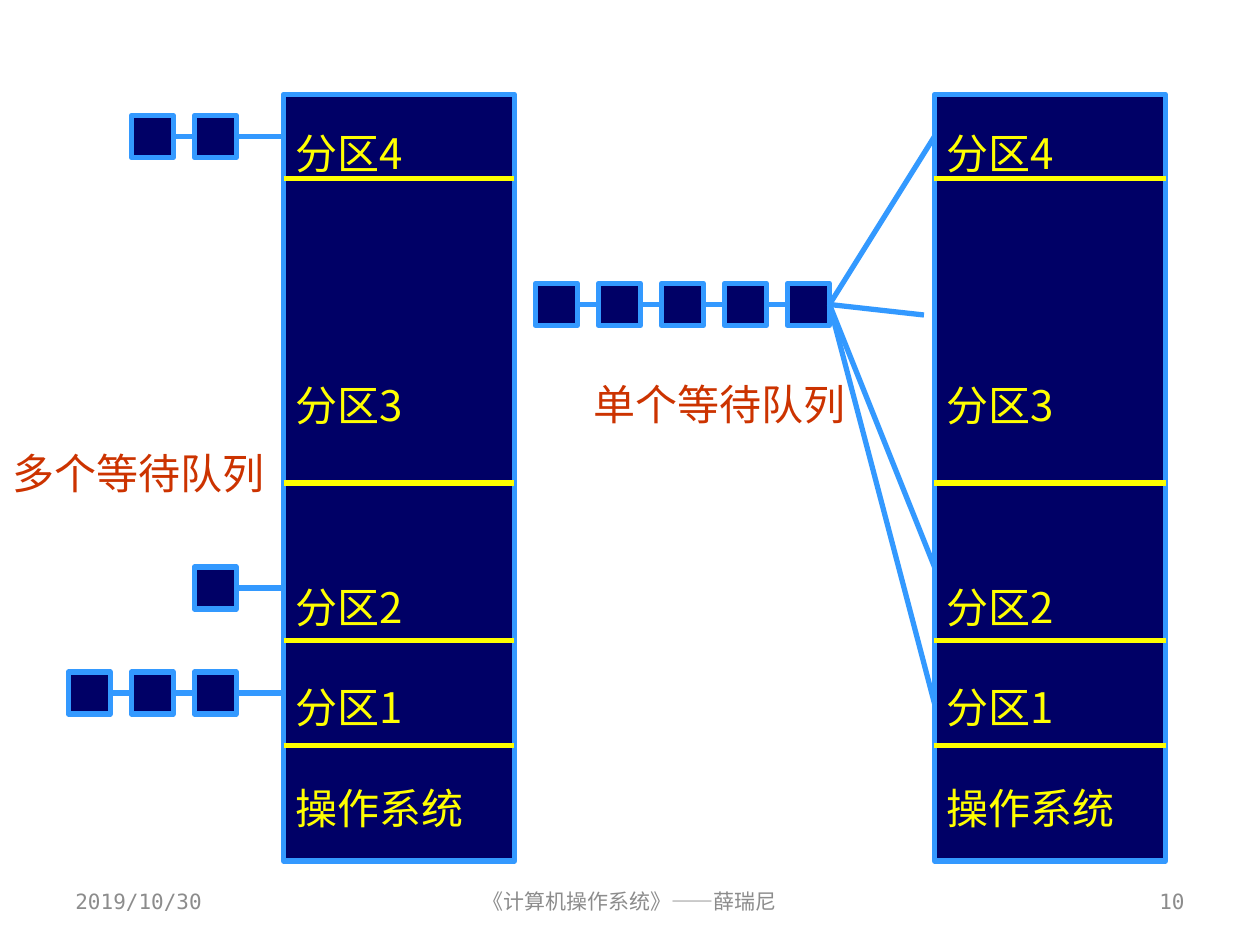
from itertools import pairwise

from lxml.etree import SubElement
from pptx import Presentation
from pptx.dml.color import RGBColor
from pptx.enum.shapes import MSO_CONNECTOR as Connector, MSO_SHAPE as Shape
from pptx.enum.text import MSO_ANCHOR as Anchor, PP_ALIGN as Align
from pptx.oxml.ns import qn
from pptx.util import Pt

COLORS = {"navy": "000066", "blue": "3399FF", "yellow": "FFFF00",
          "red": "CC3300", "gray": "8C8C8C"}
CJK_FONT = "Noto Sans CJK SC"
FOOTER_FONT = "DejaVu Sans Mono"

# Memory columns
COLUMN_TOP, COLUMN_WIDTH, COLUMN_HEIGHT = 54, 132, 438
LEFT_COLUMN, RIGHT_COLUMN = 162, 534
DIVIDERS = (102, 276, 366, 426)
LINE_HEIGHT = 28.8
# Label and the number of free lines above it
PARTITIONS = (("分区4", 0), ("分区3", 4), ("分区2", 3), ("分区1", 1), ("操作系统", 1))

# Waiting queues
JOB_SIZE, JOB_PITCH = 24, 36


def color(name):
    return RGBColor.from_string(COLORS[name])


def write(paragraph, text, size=24, fill="yellow", font=CJK_FONT, align=Align.LEFT):
    paragraph.alignment = align
    run = paragraph.add_run()
    run.text = text
    run.font.size = Pt(size)
    run.font.name = font
    run.font.color.rgb = color(fill)
    SubElement(run.font._element, qn("a:ea"), typeface=CJK_FONT)


def add_text(slide, text, left, top, width, height, wrap=False,
             anchor=Anchor.TOP, **text_format):
    box = slide.shapes.add_textbox(Pt(left), Pt(top), Pt(width), Pt(height))
    box.text_frame.word_wrap = wrap
    box.text_frame.vertical_anchor = anchor
    write(box.text_frame.paragraphs[0], text, **text_format)


def add_block(slide, left, top, width, height):
    block = slide.shapes.add_shape(Shape.RECTANGLE, Pt(left), Pt(top),
                                   Pt(width), Pt(height))
    block.shadow.inherit = False
    block.fill.solid()
    block.fill.fore_color.rgb = color("navy")
    block.line.color.rgb = color("blue")
    block.line.width = Pt(3)
    return block


def add_line(slide, start, end, stroke="blue"):
    line = slide.shapes.add_connector(Connector.STRAIGHT, Pt(start[0]), Pt(start[1]),
                                      Pt(end[0]), Pt(end[1]))
    line.line.color.rgb = color(stroke)
    line.line.width = Pt(3)
    SubElement(line._element.spPr, qn("a:effectLst"))
    return line


def add_column(slide, left):
    column = add_block(slide, left, COLUMN_TOP, COLUMN_WIDTH, COLUMN_HEIGHT)
    frame = column.text_frame
    frame.word_wrap = True
    frame.vertical_anchor = Anchor.MIDDLE
    frame.margin_top = Pt(6.4)
    for index, (label, free_lines) in enumerate(PARTITIONS):
        paragraph = frame.add_paragraph() if index else frame.paragraphs[0]
        paragraph.line_spacing = Pt(LINE_HEIGHT)
        paragraph.space_before = Pt(free_lines * LINE_HEIGHT)
        write(paragraph, label)
    for y in DIVIDERS:
        add_line(slide, (left, y), (left + COLUMN_WIDTH, y), "yellow")


def add_queue(slide, count, last_left, top):
    """Draw a chain of waiting jobs and return the one at its head."""
    first_left = last_left - (count - 1) * JOB_PITCH
    jobs = [add_block(slide, first_left + i * JOB_PITCH, top, JOB_SIZE, JOB_SIZE)
            for i in range(count)]
    for job, following in pairwise(jobs):
        link = add_line(slide, (0, 0), (0, 0))
        link.begin_connect(job, 3)
        link.end_connect(following, 1)
    return jobs[-1]


def link_head(slide, head, end):
    add_line(slide, (0, 0), end).begin_connect(head, 3)


def main():
    presentation = Presentation()
    presentation.slide_width, presentation.slide_height = Pt(720), Pt(540)
    slide = presentation.slides.add_slide(presentation.slide_layouts[6])

    # One queue shared by all partitions
    add_column(slide, RIGHT_COLUMN)
    head = add_queue(slide, 5, 450, 162)
    for end in ((534, 78), (528, 180), (534, 324), (534, 402)):
        link_head(slide, head, end)
    add_text(slide, "单个等待队列", 332, 212.5, 159, 36, fill="red")

    # A queue for each partition
    for count, top in ((2, 66), (1, 324), (3, 384)):
        head = add_queue(slide, count, 111, top)
        link_head(slide, head, (165, top + JOB_SIZE / 2))
    add_text(slide, "多个等待队列", 0, 252, 159, 36, fill="red")
    add_column(slide, LEFT_COLUMN)

    # Footer
    for text, left, width, align in (
            ("2019/10/30", 36, 168, Align.LEFT),
            ("《计算机操作系统》——薛瑞尼", 246, 228, Align.CENTER),
            ("10", 516, 168, Align.RIGHT)):
        add_text(slide, text, left, 500.5, width, 28.8, wrap=True, anchor=Anchor.MIDDLE,
                 size=12, fill="gray", font=FOOTER_FONT, align=align)

    presentation.save("out.pptx")


if __name__ == "__main__":
    main()
